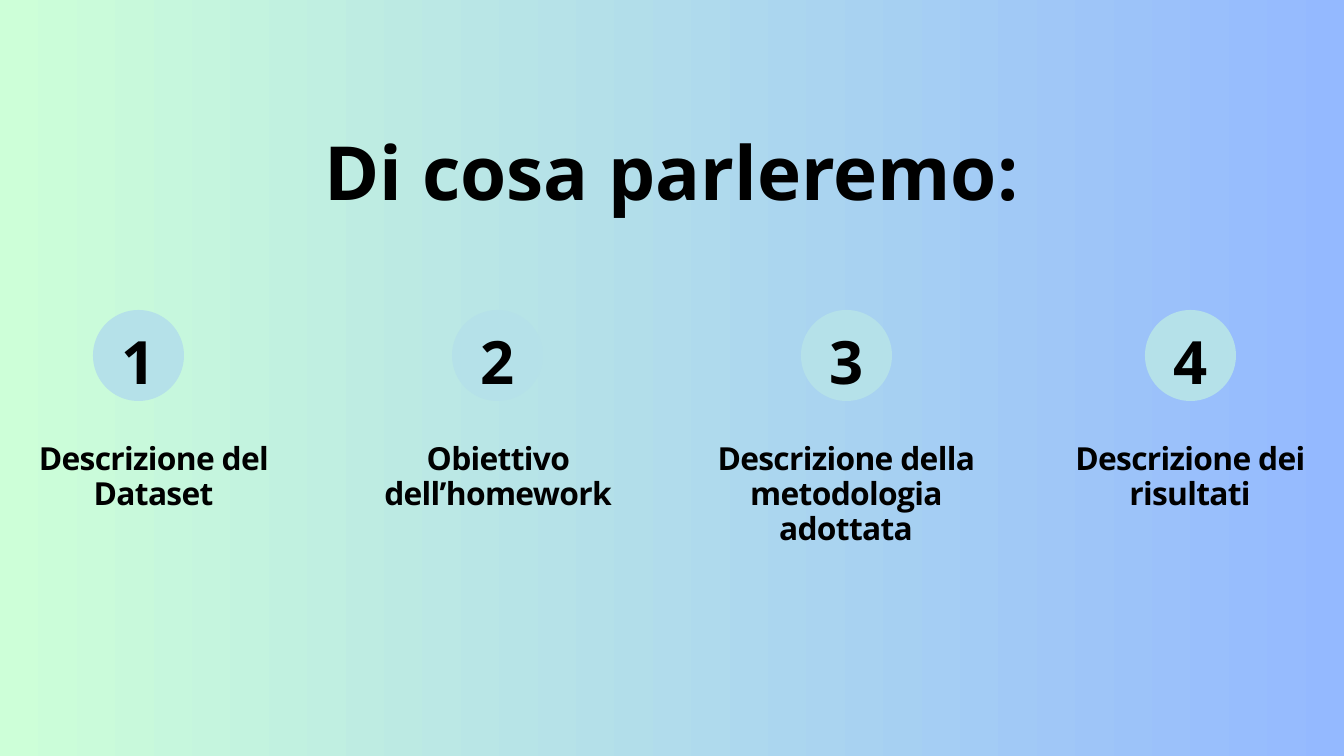
from dataclasses import dataclass

from pptx import Presentation
from pptx.dml.color import RGBColor
from pptx.enum.shapes import MSO_SHAPE
from pptx.enum.text import MSO_ANCHOR, MSO_AUTO_SIZE, PP_ALIGN
from pptx.shapes.base import BaseShape
from pptx.slide import Slide
from pptx.util import Emu, Pt

CENTER = PP_ALIGN.CENTER
TOP = MSO_ANCHOR.TOP
GROW = MSO_AUTO_SIZE.SHAPE_TO_FIT_TEXT
OVAL = MSO_SHAPE.OVAL
TITLE_ONLY = 5
EMU_PER_PX = 914400 / 67.2


@dataclass(frozen=True)
class TextStyle:
    size: float
    line: float
    tracking: int = 0


@dataclass(frozen=True)
class Theme:
    font: str = "Open Sans"
    ink: RGBColor = RGBColor(0x00, 0x00, 0x00)
    badge: RGBColor = RGBColor(0xB5, 0xE1, 0xE9)
    backdrop_start: RGBColor = RGBColor(0xCD, 0xFF, 0xD8)
    backdrop_end: RGBColor = RGBColor(0x94, 0xB9, 0xFF)
    heading: TextStyle = TextStyle(80, 96)
    number: TextStyle = TextStyle(64, 100.5, -160)
    label: TextStyle = TextStyle(34, 37.4, -70)


@dataclass(frozen=True)
class Topic:
    label: str
    badge_left: int
    label_left: int
    label_width: int
    label_height: int


THEME = Theme()
BADGE_TOP, BADGE_SIZE = 310, 91
NUMBER_TOP, NUMBER_HEIGHT = 303, 88
LABEL_TOP = 442
TOPICS = [
    Topic("Descrizione del Dataset", 93, 17, 273, 70),
    Topic("Obiettivo dell’homework", 452, 358, 280, 70),
    Topic("Descrizione della metodologia adottata", 801, 706, 280, 139),
    Topic("Descrizione dei risultati", 1145, 1054, 272, 105),
]


def px(length: int) -> Emu:
    return Emu(round(length * EMU_PER_PX))


def box(left: int, top: int, width: int, height: int) -> tuple[Emu, ...]:
    return px(left), px(top), px(width), px(height)


def apply(target: object, values: dict) -> None:
    for name, value in values.items():
        setattr(target, name, value)


def write(holder: BaseShape, text: str, style: TextStyle) -> None:
    frame = holder.text_frame
    apply(frame, {
        "margin_left": 0, "margin_top": 0, "margin_right": 0, "margin_bottom": 0,
        "word_wrap": True, "vertical_anchor": TOP, "auto_size": GROW,
    })
    paragraph = frame.paragraphs[0]
    apply(paragraph, {"alignment": CENTER, "line_spacing": Pt(style.line)})
    run = paragraph.add_run()
    run.text = text
    apply(run.font, {"name": THEME.font, "size": Pt(style.size), "bold": True})
    run.font.color.rgb = THEME.ink
    if style.tracking:
        run._r.get_or_add_rPr().set("spc", str(style.tracking))


def paint_backdrop(slide: Slide) -> None:
    fill = slide.background.fill
    fill.gradient()
    fill.gradient_angle = 0
    colors = (THEME.backdrop_start, THEME.backdrop_end)
    for position, (stop, color) in enumerate(zip(fill.gradient_stops, colors)):
        stop.position = position
        stop.color.rgb = color


def draw_heading(slide: Slide, text: str) -> None:
    heading = slide.shapes.title
    left, top, width, height = box(273, 126, 798, 89)
    apply(heading, {"left": left, "top": top, "width": width, "height": height})
    write(heading, text, THEME.heading)


def draw_topic(slide: Slide, number: int, topic: Topic) -> None:
    marker = slide.shapes.add_group_shape()
    badge = marker.shapes.add_shape(
        OVAL, *box(topic.badge_left, BADGE_TOP, BADGE_SIZE, BADGE_SIZE))
    badge.shadow.inherit = False
    badge.fill.solid()
    badge.fill.fore_color.rgb = THEME.badge
    badge.line.fill.background()
    numeral = marker.shapes.add_textbox(
        *box(topic.badge_left, NUMBER_TOP, BADGE_SIZE, NUMBER_HEIGHT))
    write(numeral, str(number), THEME.number)
    label = slide.shapes.add_textbox(
        *box(topic.label_left, LABEL_TOP, topic.label_width, topic.label_height))
    write(label, topic.label, THEME.label)


def main() -> None:
    deck = Presentation()
    apply(deck, {"slide_width": px(1344), "slide_height": px(756)})
    slide = deck.slides.add_slide(deck.slide_layouts[TITLE_ONLY])
    paint_backdrop(slide)
    draw_heading(slide, "Di cosa parleremo:")
    for number, topic in enumerate(TOPICS, start=1):
        draw_topic(slide, number, topic)
    deck.save("out.pptx")


if __name__ == "__main__":
    main()
